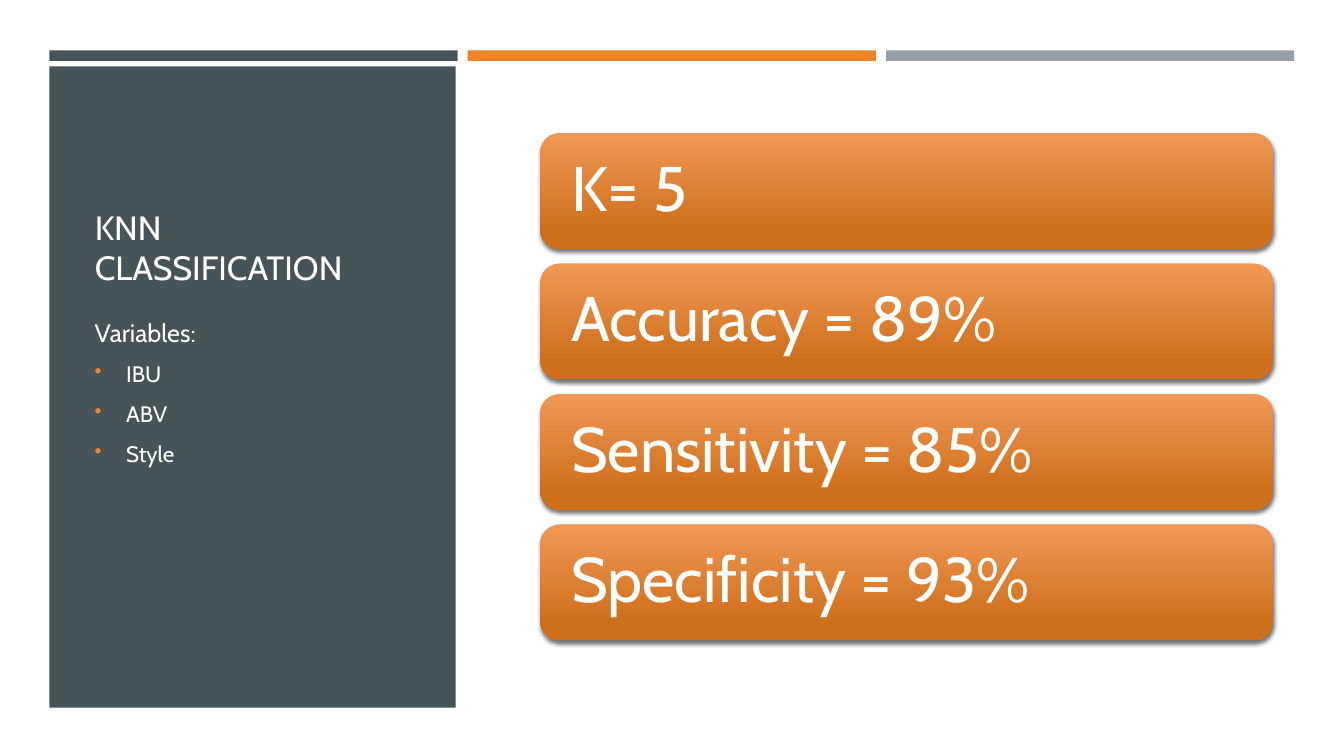
from lxml.etree import SubElement
from pptx import Presentation
from pptx.dml.color import RGBColor
from pptx.enum.shapes import MSO_SHAPE
from pptx.enum.text import MSO_ANCHOR, MSO_AUTO_SIZE, PP_ALIGN
from pptx.oxml.ns import qn
from pptx.util import Pt

RECT = MSO_SHAPE.RECTANGLE
ROUND = MSO_SHAPE.ROUNDED_RECTANGLE
MIDDLE = MSO_ANCHOR.MIDDLE
BOTTOM = MSO_ANCHOR.BOTTOM
LEFT = PP_ALIGN.LEFT
NO_FIT = MSO_AUTO_SIZE.NONE
FONT = "Cabin"
COLORS = {
    "slate": "465359",
    "orange": "ED8428",
    "gray": "969FA7",
    "light": "F09856",
    "dark": "CE6F1B",
    "white": "FFFFFF",
    "black": "000000",
}
BARS = ["slate", "orange", "gray"]
VARS = ["IBU", "ABV", "Style"]
SCORES = ["K= 5", "Accuracy = 89%", "Sensitivity = 85%", "Specificity = 93%"]


def rgb(name):
    return RGBColor.from_string(COLORS[name])


def style(para, size):
    para.alignment = LEFT
    for run in para.runs:
        run.font.name = FONT
        run.font.size = Pt(size)
        run.font.color.rgb = rgb("white")


def add_block(slide, color, left, top, width, height):
    block = slide.shapes.add_shape(RECT, Pt(left), Pt(top), Pt(width), Pt(height))
    block.shadow.inherit = False
    block.fill.solid()
    block.fill.fore_color.rgb = rgb(color)
    block.line.fill.background()


def set_title(slide, text):
    title = slide.shapes.title
    title.left, title.top = Pt(60.5), Pt(73.4)
    title.width, title.height = Pt(239), Pt(135.4)
    frame = title.text_frame
    frame.text = text
    frame.auto_size = NO_FIT
    frame.word_wrap = True
    frame.vertical_anchor = BOTTOM
    style(frame.paragraphs[0], 24)


def add_bullet(para):
    props = para._p.get_or_add_pPr()
    props.set("marL", str(Pt(22.5)))
    props.set("indent", str(-Pt(22.5)))
    tint = SubElement(props, qn("a:buClr"))
    SubElement(tint, qn("a:srgbClr"), val=COLORS["orange"])
    SubElement(props, qn("a:buSzPct"), val="92000")
    SubElement(props, qn("a:buChar"), char="•")


def add_list(slide, head, items):
    box = slide.shapes.add_textbox(Pt(60.5), Pt(223.2), Pt(239), Pt(236.2))
    frame = box.text_frame
    frame.word_wrap = True
    first = frame.paragraphs[0]
    first.text = head
    first.space_after = Pt(6)
    style(first, 18)
    for item in items:
        para = frame.add_paragraph()
        para.text = item
        para.space_before = Pt(3.2)
        para.space_after = Pt(6)
        style(para, 16)
        add_bullet(para)


def add_shadow(shape):
    shape.shadow.inherit = False
    effects = shape._element.spPr.find(qn("a:effectLst"))
    outer = SubElement(effects, qn("a:outerShdw"), blurRad=str(Pt(3)),
                       dist=str(Pt(2)), dir="5400000", rotWithShape="0")
    tint = SubElement(outer, qn("a:srgbClr"), val=COLORS["black"])
    SubElement(tint, qn("a:alpha"), val="55000")


def add_card(slide, text, top):
    card = slide.shapes.add_shape(ROUND, Pt(386), Pt(top), Pt(523.4), Pt(82.8))
    card.line.fill.background()
    card.fill.gradient()
    card.fill.gradient_angle = 270
    stops = zip(card.fill.gradient_stops, [("light", 0), ("dark", 0.84)])
    for stop, (color, place) in stops:
        stop.color.rgb = rgb(color)
        stop.position = place
    add_shadow(card)
    frame = card.text_frame
    frame.text = text
    frame.word_wrap = True
    frame.vertical_anchor = MIDDLE
    frame.margin_left = frame.margin_right = Pt(18)
    para = frame.paragraphs[0]
    para.line_spacing = 0.9
    style(para, 45)


def main():
    deck = Presentation()
    deck.slide_width, deck.slide_height = Pt(960), Pt(540)
    slide = deck.slides.add_slide(deck.slide_layouts[5])
    for i, color in enumerate(BARS):
        add_block(slide, color, 35.3 + i * 298.8, 36, 291.6, 7.5)
    add_block(slide, "slate", 35.3, 47.5, 290.2, 457.9)
    set_title(slide, "KNN CLASSIFICATION")
    add_list(slide, "Variables:", VARS)
    for i, text in enumerate(SCORES):
        add_card(slide, text, 95 + i * 93.2)
    # The title placeholder is first in the tree, so bring it above the panel.
    tree = slide.shapes._spTree
    tree.append(slide.shapes.title._element)
    deck.save("out.pptx")


if __name__ == "__main__":
    main()
